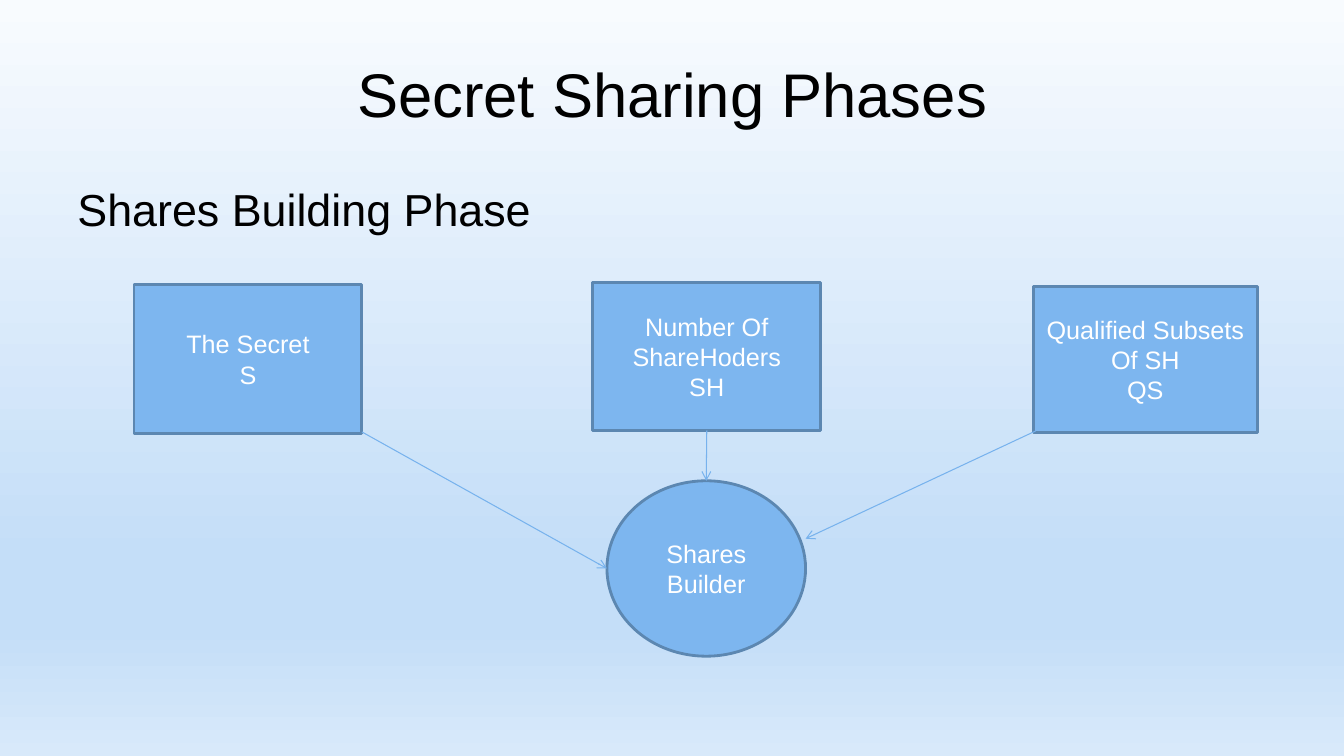
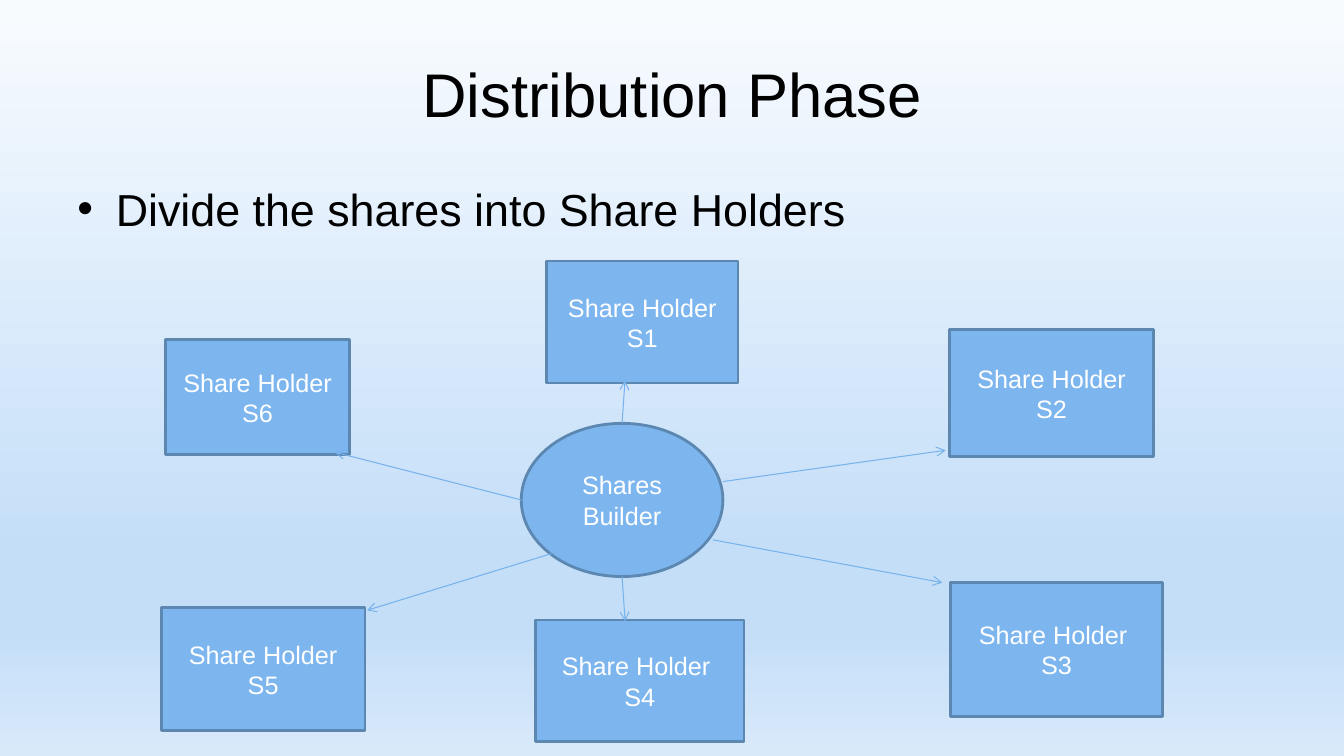
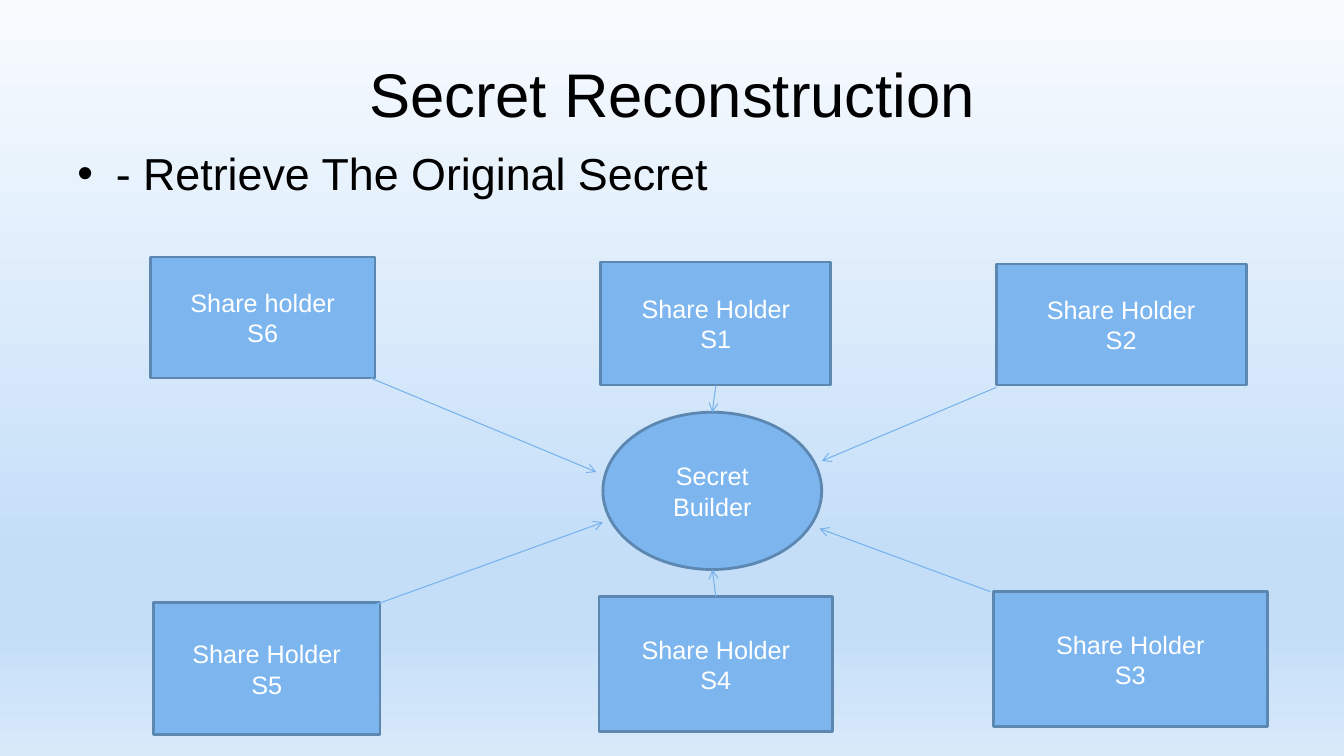
from dataclasses import dataclass
from lxml.etree import SubElement
from pptx import Presentation
from pptx.dml.color import RGBColor
from pptx.enum.shapes import MSO_CONNECTOR, MSO_SHAPE
from pptx.enum.text import MSO_ANCHOR, PP_ALIGN
from pptx.oxml.ns import qn
from pptx.util import Inches, Pt


@dataclass(frozen=True)
class Theme:
    font: str = "Arial"
    ink: str = "000000"
    light: str = "FFFFFF"
    fill: str = "7DB6EF"
    edge: str = "5C87B1"
    arrow: str = "77B2ED"
    title: int = 44
    lead: int = 32
    label: int = 18
    edge_width: float = 2
    arrow_width: float = 0.75
    lead_gap: float = 4
    bullet_indent: float = 0.38
    sky: tuple = ((0, "F8FBFE"), (74, "C4DEF8"), (83, "C4DEF8"), (100, "D8E9FA"))


T = Theme()
TITLE_BOX = (0.67, 0.3, 12, 1.25)


def rgb(value):
    return RGBColor.from_string(value)


def inches(values):
    return [Inches(v) for v in values]


def apply(target, **values):
    for name, value in values.items():
        setattr(target, name, value)


def write(tf, text, size, color, align, anchor):
    apply(tf, word_wrap=True, vertical_anchor=anchor)
    for i, line in enumerate(text.split("\n")):
        p = tf.add_paragraph() if i else tf.paragraphs[0]
        p.alignment = align
        r = p.add_run()
        r.text = line
        apply(r.font, name=T.font, size=Pt(size))
        r.font.color.rgb = rgb(color)


def background(s):
    fill = s.background.fill
    fill.gradient()
    fill.gradient_angle = 270
    stops = s.element.find(".//" + qn("a:gsLst"))
    for stop in list(stops):
        stops.remove(stop)
    for position, color in T.sky:
        stop = SubElement(stops, qn("a:gs"), pos=str(position * 1000))
        SubElement(stop, qn("a:srgbClr"), val=color)


def title(s, box, text):
    sp = s.shapes.add_textbox(*inches(box))
    write(sp.text_frame, text, T.title, T.ink, PP_ALIGN.CENTER, MSO_ANCHOR.MIDDLE)


def lead(s, box, text, bullet):
    sp = s.shapes.add_textbox(*inches(box))
    write(sp.text_frame, text, T.lead, T.ink, PP_ALIGN.LEFT, MSO_ANCHOR.TOP)
    p = sp.text_frame.paragraphs[0]
    p.space_before = Pt(T.lead_gap)
    if bullet:
        pPr = p._p.get_or_add_pPr()
        indent = Inches(T.bullet_indent)
        pPr.set("marL", str(indent))
        pPr.set("indent", str(-indent))
        SubElement(pPr, qn("a:buFont"), typeface=T.font)
        SubElement(pPr, qn("a:buChar"), char="•")


def node(s, box, text, kind=MSO_SHAPE.RECTANGLE):
    sp = s.shapes.add_shape(kind, *inches(box))
    sp.shadow.inherit = False
    sp.fill.solid()
    sp.fill.fore_color.rgb = rgb(T.fill)
    sp.line.color.rgb = rgb(T.edge)
    sp.line.width = Pt(T.edge_width)
    write(sp.text_frame, text, T.label, T.light, PP_ALIGN.CENTER, MSO_ANCHOR.MIDDLE)


def point_on(box, share):
    left, top, width, height = box
    return left + share[0] * width, top + share[1] * height


def arrow(s, start, end):
    c = s.shapes.add_connector(MSO_CONNECTOR.STRAIGHT, *inches(start + end))
    c.line.color.rgb = rgb(T.arrow)
    c.line.width = Pt(T.arrow_width)
    SubElement(c.line._get_or_add_ln(), qn("a:tailEnd"), type="arrow")
    SubElement(c._element.spPr, qn("a:effectLst"))


def hub_diagram(s, hub_box, hub_text, nodes, outward):
    node(s, hub_box, hub_text, MSO_SHAPE.OVAL)
    for text, box, *_ in nodes:
        node(s, box, text)
    for _, box, node_share, hub_share in nodes:
        ends = [point_on(box, node_share), point_on(hub_box, hub_share)]
        arrow(s, *(reversed(ends) if outward else ends))


def phase_slide(prs, heading, lead_text, lead_box, hub_box, hub_text, nodes,
                bullet=True, outward=False):
    s = prs.slides.add_slide(prs.slide_layouts[6])
    background(s)
    title(s, TITLE_BOX, heading)
    lead(s, lead_box, lead_text, bullet)
    hub_diagram(s, hub_box, hub_text, nodes, outward)


BUILDING = [
    ("The Secret\nS", (1.33, 2.82, 2.26, 1.48), (1, 0.99), (0, 0.5)),
    ("Number Of ShareHoders\nSH", (5.88, 2.8, 2.26, 1.47), (0.5, 1), (0.5, 0)),
    ("Qualified Subsets Of SH\nQS", (10.25, 2.84, 2.22, 1.45), (0.01, 0.99), (1, 0.33)),
]
DISTRIBUTION = [
    ("Share Holder\nS1", (5.42, 2.59, 1.9, 1.21), (0.41, 0.98), (0.5, 0)),
    ("Share Holder S2", (9.42, 3.27, 2.02, 1.26), (-0.02, 0.95), (1, 0.38)),
    ("Share Holder\nS6", (1.64, 3.37, 1.83, 1.14), (0.92, 0.98), (0, 0.5)),
    ("Share Holder\nS5", (1.6, 6.03, 2.02, 1.22), (1.01, 0.02), (0.15, 0.85)),
    ("Share Holder \nS3", (9.43, 5.78, 2.1, 1.33), (-0.04, 0), (0.95, 0.76)),
    ("Share Holder \nS4", (5.31, 6.15, 2.07, 1.21), (0.43, 0.01), (0.5, 1)),
]
RECONSTRUCTION = [
    ("Share holder\nS6", (1.49, 2.55, 2.23, 1.2), (0.98, 1), (-0.03, 0.38)),
    ("Share Holder\nS1", (5.96, 2.6, 2.28, 1.22), (0.5, 1), (0.5, 0)),
    ("Share Holder\nS2", (9.88, 2.62, 2.48, 1.2), (0, 1.02), (1, 0.31)),
    ("Share Holder\nS5", (1.52, 5.98, 2.25, 1.31), (0.97, 0.02), (0, 0.7)),
    ("Share Holder\nS4", (5.94, 5.92, 2.32, 1.34), (0.5, 0), (0.5, 1)),
    ("Share Holder\nS3", (9.85, 5.87, 2.72, 1.34), (-0.01, 0), (0.99, 0.74)),
]

prs = Presentation()
apply(prs, slide_width=Inches(13.33), slide_height=Inches(7.5))
phase_slide(prs, "Secret Sharing Phases", "Shares Building Phase", (0.67, 1.75, 12, 4.95),
            (6.02, 4.77, 1.97, 1.74), "Shares Builder", BUILDING, bullet=False)
phase_slide(prs, "Distribution Phase", "Divide the shares into Share Holders",
            (0.67, 1.75, 12, 5.73), (5.17, 4.2, 2, 1.52), "Shares Builder",
            DISTRIBUTION, outward=True)
phase_slide(prs, "Secret Reconstruction", "- Retrieve The Original Secret",
            (0.67, 1.4, 12, 6.08), (5.98, 4.09, 2.17, 1.56), "Secret\nBuilder",
            RECONSTRUCTION)
prs.save("out.pptx")
